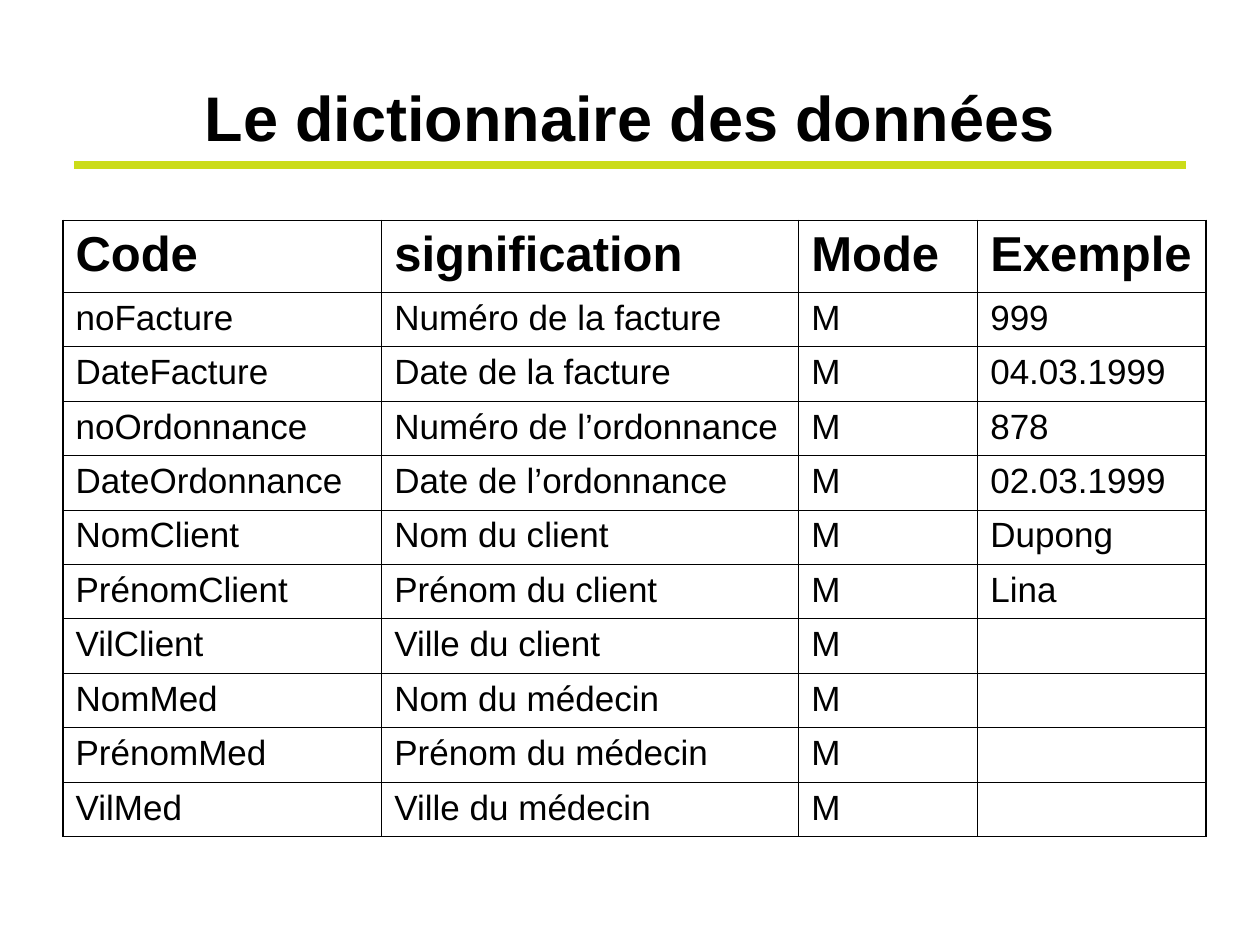
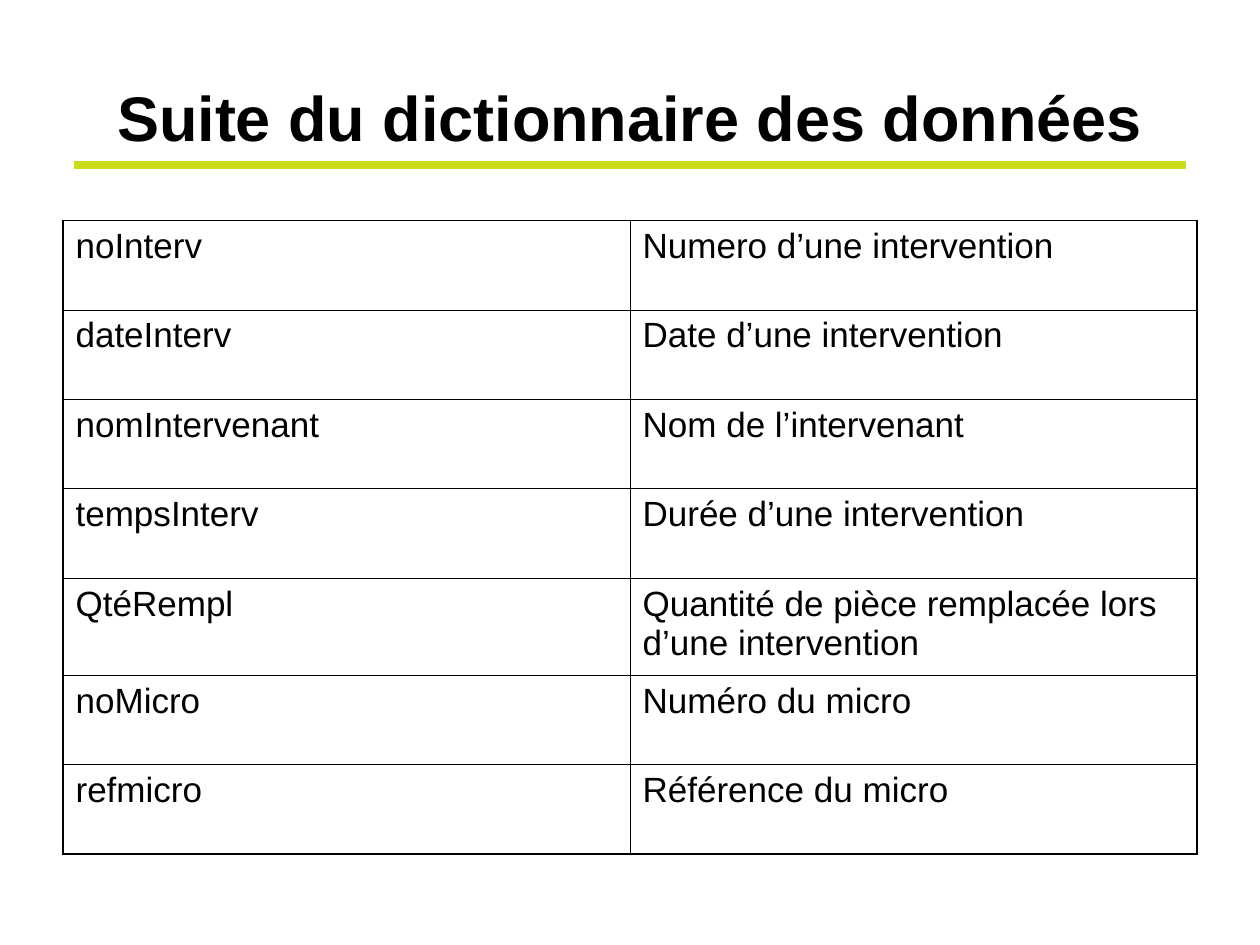
from pptx import Presentation
from pptx.dml.color import RGBColor
from pptx.enum.shapes import MSO_CONNECTOR
from pptx.enum.text import MSO_ANCHOR, MSO_AUTO_SIZE, PP_ALIGN
from pptx.oxml.ns import qn
from pptx.util import Inches, Pt
from lxml.etree import SubElement

INK, LIME = "000000", "CBDC1A"
FONT = "Arial"
THIN, THICK = 0.45, 1.08


def color(code):
    return RGBColor.from_string(code)


def write(frame, text, size=20, bold=False, align=PP_ALIGN.LEFT, before=0):
    para = frame.paragraphs[0]
    para.alignment = align
    para.space_before = Pt(before)
    run = para.add_run()
    run.text = text
    font = run.font
    font.name, font.size, font.bold = FONT, Pt(size), bold
    font.color.rgb = color(INK)


def edge(cell, side, width):
    line = SubElement(cell._tc.get_or_add_tcPr(), qn("a:ln" + side),
                      w=str(Pt(width)))
    fill = SubElement(line, qn("a:solidFill"))
    SubElement(fill, qn("a:srgbClr"), val=INK)


class Deck:
    def __init__(self):
        self.show = Presentation()
        self.show.slide_width = Inches(10)
        self.show.slide_height = Inches(7.5)
        self.slide = None

    def page(self, title):
        self.slide = self.show.slides.add_slide(self.show.slide_layouts[5])
        self.rule(0.59, 9.41, 1.31)
        self.title(title)

    def title(self, text):
        shape = self.slide.shapes.title
        shape.left, shape.top = Inches(0.5), Inches(0.3)
        shape.width, shape.height = Inches(9), Inches(1.25)
        frame = shape.text_frame
        frame.auto_size = MSO_AUTO_SIZE.NONE
        frame.vertical_anchor = MSO_ANCHOR.MIDDLE
        write(frame, text, size=36, bold=True, align=PP_ALIGN.CENTER)

    def rule(self, left, right, top):
        line = self.slide.shapes.add_connector(
            MSO_CONNECTOR.STRAIGHT, Inches(left), Inches(top),
            Inches(right), Inches(top))
        line.line.color.rgb = color(LIME)
        line.line.width = Pt(4.5)
        SubElement(line.element.spPr, qn("a:effectLst"))

    def table(self, data, cols, rows, head=False):
        table = self.slide.shapes.add_table(
            len(rows), len(cols), Inches(0.5), Inches(1.75),
            Inches(sum(cols)), Inches(sum(rows))).table
        table.first_row = table.horz_banding = False
        for col, width in zip(table.columns, cols):
            col.width = Inches(width)
        for row, height in zip(table.rows, rows):
            row.height = Inches(height)

        # Cells: thick outer frame, thin inner grid
        for r, texts in enumerate(data):
            for c, text in enumerate(texts):
                cell = table.cell(r, c)
                outer = {"L": c == 0, "R": c == len(cols) - 1,
                         "T": r == 0, "B": r == len(rows) - 1}
                for side, thick in outer.items():
                    edge(cell, side, THICK if thick else THIN)
                cell.fill.background()
                if text and head and r == 0:
                    write(cell.text_frame, text, size=28, bold=True, before=7)
                elif text:
                    write(cell.text_frame, text, before=5)


def main():
    deck = Deck()

    # Data dictionary: code, meaning, mode, example
    deck.page("Le dictionnaire des données")
    fields = [
        ("noFacture", "Numéro de la facture", "999"),
        ("DateFacture", "Date de la facture", "04.03.1999"),
        ("noOrdonnance", "Numéro de l’ordonnance", "878"),
        ("DateOrdonnance", "Date de l’ordonnance", "02.03.1999"),
        ("NomClient", "Nom du client", "Dupong"),
        ("PrénomClient", "Prénom du client", "Lina"),
        ("VilClient", "Ville du client", ""),
        ("NomMed", "Nom du médecin", ""),
        ("PrénomMed", "Prénom du médecin", ""),
        ("VilMed", "Ville du médecin", ""),
    ]
    data = [("Code", "signification", "Mode", "Exemple")]
    data += [(code, sense, "M", sample) for code, sense, sample in fields]
    step = (4.89 - 0.57) / len(fields)
    deck.table(data, [2.53, 3.31, 1.42, 1.81],
               [0.57] + [step] * len(fields), head=True)

    # Rest of the dictionary
    deck.page("Suite du dictionnaire des données")
    data = [
        ("noInterv", "Numero d’une intervention"),
        ("dateInterv", "Date d’une intervention"),
        ("nomIntervenant", "Nom de l’intervenant"),
        ("tempsInterv", "Durée d’une intervention"),
        ("QtéRempl", "Quantité de pièce remplacée lors d’une intervention"),
        ("noMicro", "Numéro du micro"),
        ("refmicro", "Référence du micro"),
    ]
    rows = [0.77 if code == "QtéRempl" else 0.71 for code, _ in data]
    deck.table(data, [4.5, 4.5], rows)

    deck.show.save("out.pptx")


if __name__ == "__main__":
    main()
